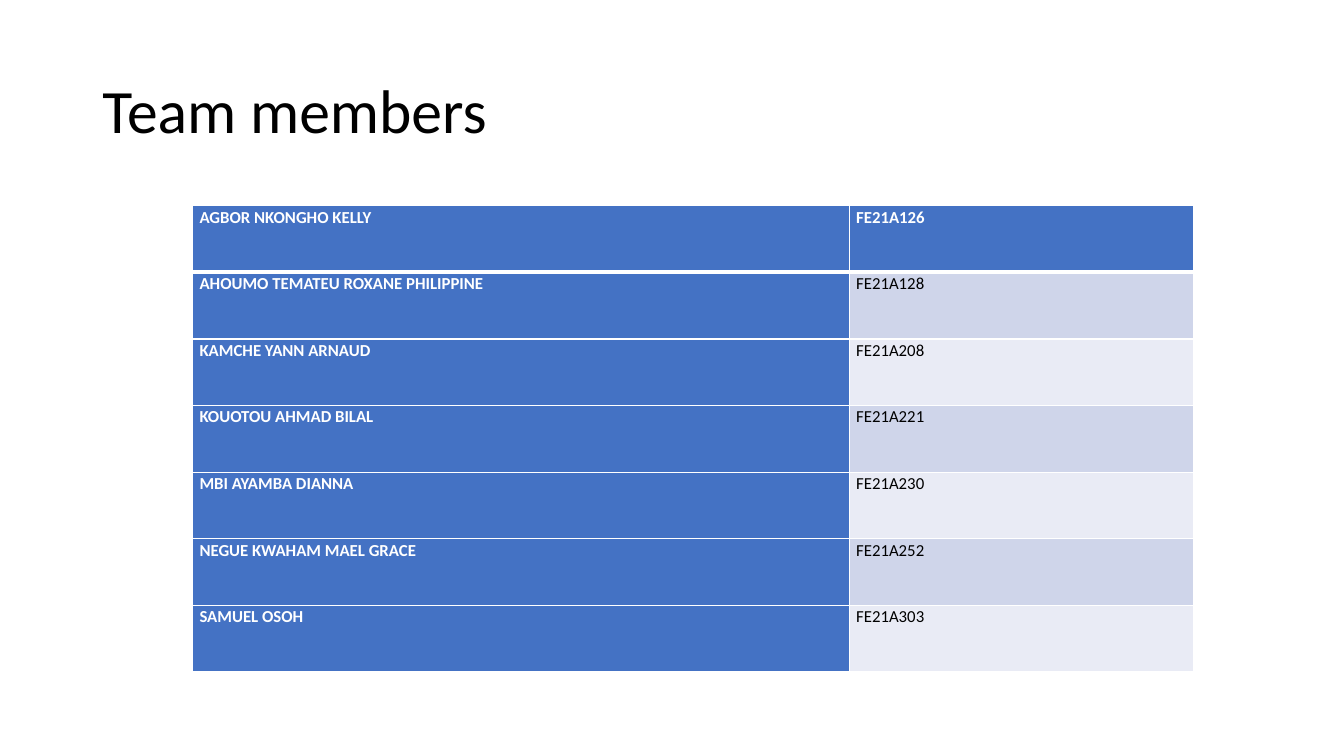
from lxml import etree
from pptx import Presentation
from pptx import util as u
from pptx.dml import color
from pptx.enum import text
from pptx.oxml import ns

MEMBERS = [
    ("AGBOR NKONGHO KELLY", "FE21A126"),
    ("AHOUMO TEMATEU ROXANE PHILIPPINE", "FE21A128"),
    ("KAMCHE YANN ARNAUD", "FE21A208"),
    ("KOUOTOU AHMAD BILAL", "FE21A221"),
    ("MBI AYAMBA DIANNA", "FE21A230"),
    ("NEGUE KWAHAM MAEL GRACE", "FE21A252"),
    ("SAMUEL OSOH", "FE21A303"),
]
BLUE, WHITE, BLACK = "4472C4", "FFFFFF", "000000"
BANDS = ["E9EBF5", "CFD5EA"]
NAME_SHARE = 0.656


def rgb(value):
    return color.RGBColor.from_string(value)


def apply(target, values):
    for key, value in values.items():
        setattr(target, key, value)


def write(frame, words, spacing, ink, **font):
    frame.text = words
    line = frame.paragraphs[0]
    apply(line, {"line_spacing": spacing, "alignment": text.PP_ALIGN.LEFT})
    apply(line.runs[0].font, {"name": "Calibri", **font})
    line.runs[0].font.color.rgb = rgb(ink)


def set_borders(cell, widths):
    properties = cell._tc.get_or_add_tcPr()
    for place, (side, width) in enumerate(widths.items()):
        border = etree.Element(ns.qn(f"a:ln{side}"), w=str(u.Pt(width)))
        fill = etree.SubElement(border, ns.qn("a:solidFill"))
        etree.SubElement(fill, ns.qn("a:srgbClr"), val=WHITE)
        properties.insert(place, border)


def add_heading(slide, left, top, width, height):
    heading = slide.shapes.title
    apply(heading, {"left": u.Pt(left), "top": u.Pt(top),
                    "width": u.Pt(width), "height": u.Pt(height)})
    apply(heading.text_frame, {"word_wrap": True,
                               "vertical_anchor": text.MSO_ANCHOR.MIDDLE})
    write(heading.text_frame, "Team members", 0.9, BLACK, size=u.Pt(44))


def add_members(slide, left, top, width, height):
    roster = slide.shapes.add_table(
        len(MEMBERS), 2, u.Pt(left), u.Pt(top), u.Pt(width), u.Pt(height)).table
    for column, share in zip(roster.columns, (NAME_SHARE, 1 - NAME_SHARE)):
        column.width = u.Pt(width * share)
    for r, member in enumerate(MEMBERS):
        roster.rows[r].height = u.Pt(height / len(MEMBERS))
        for c, words in enumerate(member):
            cell = roster.cell(r, c)
            strong = r == 0 or c == 0
            apply(cell, {"margin_left": u.Pt(5.04), "margin_right": u.Pt(5.04),
                         "margin_top": 0, "margin_bottom": 0})
            cell.fill.solid()
            cell.fill.fore_color.rgb = rgb(BLUE if strong else BANDS[r % 2])
            set_borders(cell, {"L": 1, "R": 1, "T": 3 if r == 1 else 1,
                               "B": 3 if r == 0 else 1})
            write(cell.text_frame, words, 1.07, WHITE if strong else BLACK,
                  size=u.Pt(12), bold=strong)


def main():
    deck = Presentation()
    apply(deck, {"slide_width": u.Pt(960), "slide_height": u.Pt(540)})
    slide = deck.slides.add_slide(deck.slide_layouts[5])
    add_heading(slide, 66, 28.8, 828, 104.4)
    add_members(slide, 137.5, 146.9, 715, 333.3)
    deck.save("out.pptx")


if __name__ == "__main__":
    main()
